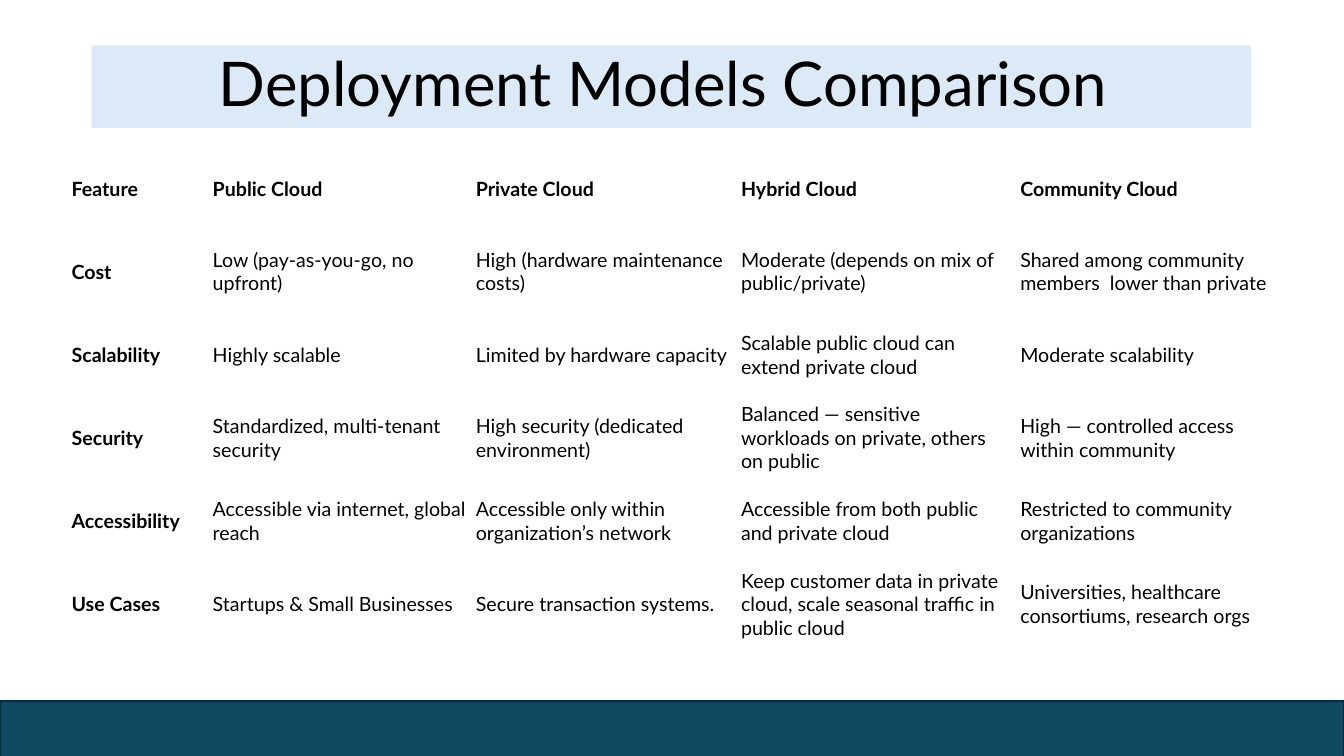
from pptx import Presentation, util as u
from pptx.dml.color import RGBColor
from pptx.enum import shapes, text

TITLE = "Deployment Models Comparison "
ROWS = [
    ("Feature", "Public Cloud", "Private Cloud", "Hybrid Cloud", "Community Cloud"),
    ("Cost", "Low (pay-as-you-go, no upfront)", "High (hardware maintenance costs)",
     "Moderate (depends on mix of public/private)",
     "Shared among community members  lower than private"),
    ("Scalability", "Highly scalable", "Limited by hardware capacity",
     "Scalable public cloud can extend private cloud", "Moderate scalability"),
    ("Security", "Standardized, multi-tenant security",
     "High security (dedicated environment)",
     "Balanced — sensitive workloads on private, others on public",
     "High — controlled access within community"),
    ("Accessibility", "Accessible via internet, global reach",
     "Accessible only within organization’s network",
     "Accessible from both public and private cloud",
     "Restricted to community organizations"),
    ("Use Cases", "Startups & Small Businesses", "Secure transaction systems.",
     "Keep customer data in private cloud, scale seasonal traffic in public cloud",
     "Universities, healthcare consortiums, research orgs"),
]
COLUMN_WIDTHS = [1.4, 2.61, 2.63, 2.77, 2.76]
ROW_HEIGHTS = [0.68, 0.97] * 3
WIDTH, HEIGHT = 13.33, 7.5
FONT, BLACK = "Lato", "000000"


def color(hex_code):
    return RGBColor.from_string(hex_code)


def add_band(s, left, top, width, height, fill):
    sp = s.shapes.add_shape(shapes.MSO_SHAPE.RECTANGLE,
                            *map(u.Inches, (left, top, width, height)))
    sp.shadow.inherit = False
    sp.fill.solid()
    sp.fill.fore_color.rgb = color(fill)
    sp.line.fill.background()
    return sp


def set_font(p, size, bold=False):
    p.font.name, p.font.size, p.font.bold = FONT, u.Pt(size), bold
    p.font.color.rgb = color(BLACK)


def add_title(s):
    sp = add_band(s, 0.91, 0.45, 11.5, 0.82, "DCEAF7")
    tf = sp.text_frame
    tf.word_wrap = True
    tf.vertical_anchor = text.MSO_ANCHOR.MIDDLE
    p = tf.paragraphs[0]
    p.text = TITLE
    p.alignment = text.PP_ALIGN.CENTER
    p.line_spacing = 0.9
    set_font(p, 44)


def add_comparison(s):
    frame = s.shapes.add_table(
        len(ROWS), len(COLUMN_WIDTHS), u.Inches(0.67), u.Inches(1.53),
        u.Inches(sum(COLUMN_WIDTHS)), u.Inches(sum(ROW_HEIGHTS)))
    table = frame.table
    table.first_row = table.horz_banding = False
    for column, width in zip(table.columns, COLUMN_WIDTHS):
        column.width = u.Inches(width)
    for row, height in zip(table.rows, ROW_HEIGHTS):
        row.height = u.Inches(height)
    for i, row in enumerate(ROWS):
        for j, entry in enumerate(row):
            cell = table.cell(i, j)
            cell.fill.background()
            cell.vertical_anchor = text.MSO_ANCHOR.MIDDLE
            cell.margin_left = cell.margin_right = u.Inches(0.04)
            cell.margin_top = cell.margin_bottom = u.Inches(0.02)
            cell.text = entry
            set_font(cell.text_frame.paragraphs[0], 14, bold=i == 0 or j == 0)


def main():
    prs = Presentation()
    prs.slide_width, prs.slide_height = u.Inches(WIDTH), u.Inches(HEIGHT)
    s = prs.slides.add_slide(prs.slide_layouts[6])
    add_title(s)
    add_comparison(s)
    footer = add_band(s, 0, 6.95, WIDTH, 0.59, "104862")
    footer.line.color.rgb = color("092A39")
    footer.line.width = u.Pt(1.5)
    prs.save("out.pptx")


if __name__ == "__main__":
    main()
